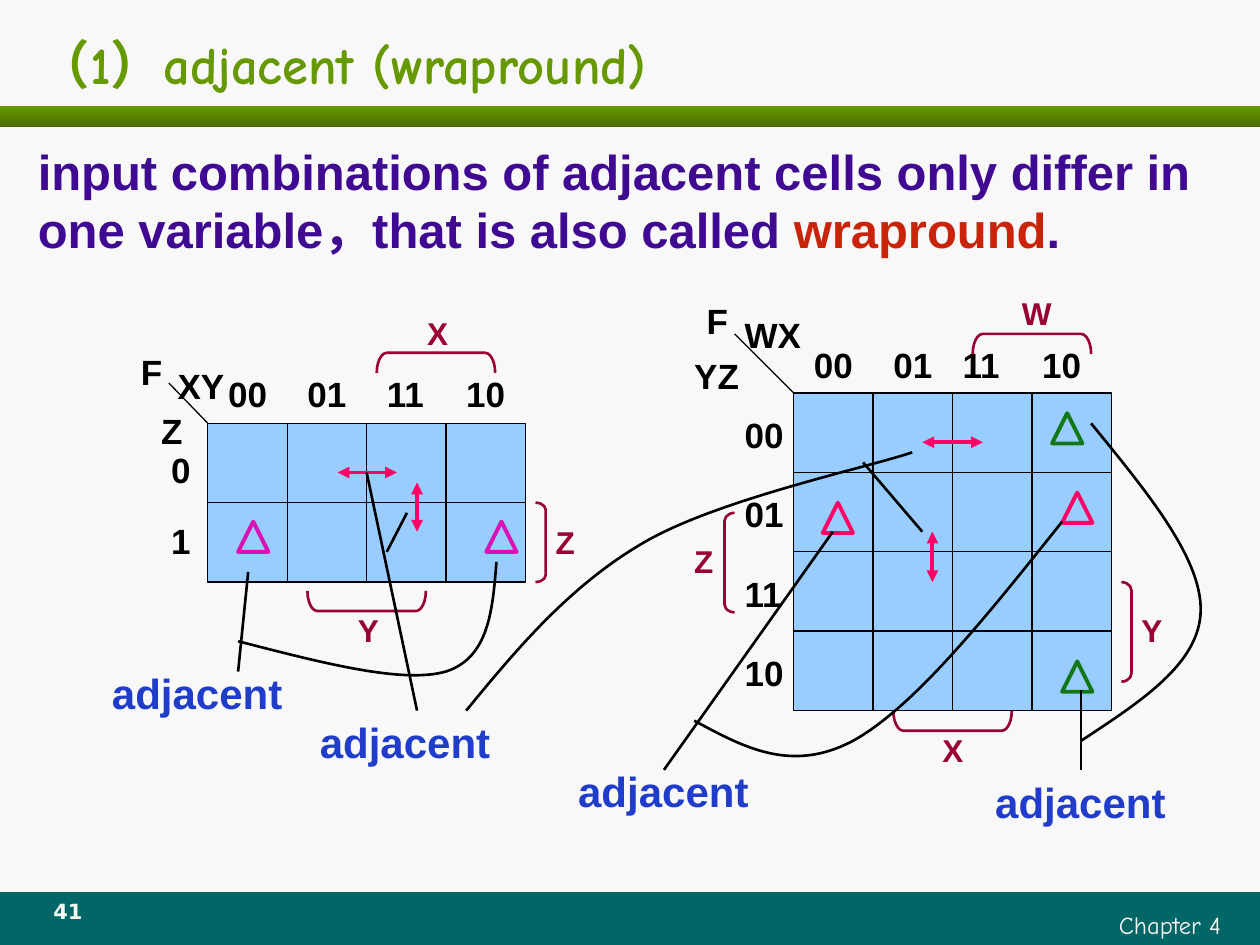
from lxml import etree
from pptx import Presentation
from pptx.dml.color import RGBColor
from pptx.enum.shapes import MSO_CONNECTOR, MSO_SHAPE
from pptx.enum.text import MSO_ANCHOR, MSO_AUTO_SIZE, PP_ALIGN
from pptx.oxml.ns import qn
from pptx.util import Inches, Pt

STRAIGHT = MSO_CONNECTOR.STRAIGHT
RECTANGLE, TRIANGLE, BRACKET = MSO_SHAPE.RECTANGLE, MSO_SHAPE.ISOSCELES_TRIANGLE, MSO_SHAPE.RIGHT_BRACKET
LEFT, CENTER, RIGHT = PP_ALIGN.LEFT, PP_ALIGN.CENTER, PP_ALIGN.RIGHT
TOP, MIDDLE = MSO_ANCHOR.TOP, MSO_ANCHOR.MIDDLE
NO_FIT = MSO_AUTO_SIZE.NONE

COLORS = {
    "paper": "F8F8F8", "footer": "006666", "green": "669900", "dark green": "496D00",
    "cell": "99CCFF", "black": "000000", "variable": "990033", "adjacent": "1F3CCB",
    "arrow": "FF0066", "purple": "DB0FB4", "leaf": "127817",
    "statement": "400991", "accent": "C92409",
}
CELL = 0.63
GRAY_CODES = ["00", "01", "11", "10"]


def color(name):
    return RGBColor.from_string(COLORS[name])


def place(shape, box):
    for name, value in zip(("left", "top", "width", "height"), box):
        setattr(shape, name, Inches(value))


def add_run(paragraph, text, size, color_name, font="Arial"):
    run = paragraph.add_run()
    run.text = text
    for name, value in {"name": font, "size": Pt(size), "bold": True}.items():
        setattr(run.font, name, value)
    run.font.color.rgb = color(color_name)
    return run


def fill_placeholder(placeholder, box, anchor, runs):
    place(placeholder, box)
    frame = placeholder.text_frame
    settings = {"word_wrap": True, "auto_size": NO_FIT, "vertical_anchor": anchor}
    for name, value in settings.items():
        setattr(frame, name, value)
    paragraph = frame.paragraphs[0]
    paragraph.alignment = LEFT
    paragraph.space_before = Pt(0)
    for run in runs:
        add_run(paragraph, *run)
    return paragraph


def add_label(slide, text, box, size=20, color_name="black", inset=False, font="Arial", align=LEFT):
    frame = slide.shapes.add_textbox(*map(Inches, box)).text_frame
    frame.word_wrap = True
    if not inset:
        for side in ("left", "top", "right", "bottom"):
            setattr(frame, f"margin_{side}", 0)
    paragraph = frame.paragraphs[0]
    paragraph.alignment = align
    return add_run(paragraph, text, size, color_name, font)


def add_box(slide, kind, box, fill=None, line=None, width=0.75):
    shape = slide.shapes.add_shape(kind, *map(Inches, box))
    shape.shadow.inherit = False
    if fill:
        shape.fill.solid()
        shape.fill.fore_color.rgb = color(fill)
    else:
        shape.fill.background()
    if line:
        shape.line.color.rgb = color(line)
        shape.line.width = Pt(width)
    else:
        shape.line.fill.background()
    return shape


def add_line(slide, start, end, color_name="black", width=1.5, arrows=False):
    line = slide.shapes.add_connector(STRAIGHT, *map(Inches, start + end))
    line.line.color.rgb = color(color_name)
    line.line.width = Pt(width)
    properties = line._element.spPr
    if arrows:
        for tag in ("a:headEnd", "a:tailEnd"):
            etree.SubElement(properties.find(qn("a:ln")), qn(tag), type="triangle")
    etree.SubElement(properties, qn("a:effectLst"))


def add_curve(slide, points):
    """Start point, then groups of two control points and an end point."""
    start, *others = [(Inches(x), Inches(y)) for x, y in points]
    builder = slide.shapes.build_freeform(*start)
    builder.add_line_segments(others, close=False)
    shape = builder.convert_to_shape()
    shape.shadow.inherit = False
    shape.fill.background()
    shape.line.color.rgb = color("black")
    shape.line.width = Pt(1.5)
    # Turn every three straight segments into one Bezier segment
    segments = list(shape._element.iter(qn("a:lnTo")))
    for first in range(0, len(segments), 3):
        group = segments[first:first + 3]
        bezier = etree.Element(qn("a:cubicBezTo"))
        group[0].addprevious(bezier)
        for segment in group:
            bezier.append(segment[0])
            segment.getparent().remove(segment)


def add_variable(slide, name, label_at, bracket_box, rotation, adjustment):
    bracket = add_box(slide, BRACKET, bracket_box, line="variable", width=1.5)
    bracket.rotation = rotation
    bracket.adjustments[0] = adjustment
    add_label(slide, name, (*label_at, 0.24, 0.3), 18, "variable")


def add_map(slide, left, top, rows, corner, column_lefts, label_top):
    for row in range(rows):
        for column in range(len(GRAY_CODES)):
            box = (left + column * CELL, top + row * CELL, CELL, CELL)
            add_box(slide, RECTANGLE, box, "cell", "black")
    add_line(slide, (left, top), corner, width=0.75)
    for code, label_left in zip(GRAY_CODES, column_lefts):
        add_label(slide, code, (label_left, label_top, 0.39, 0.33))


def add_frame(slide):
    slide.background.fill.solid()
    slide.background.fill.fore_color.rgb = color("paper")
    add_box(slide, RECTANGLE, (0, 7.08, 10, 0.42), "footer")
    band = add_box(slide, RECTANGLE, (0, 0.84, 10, 0.17))
    band.fill.gradient()
    band.fill.gradient_angle = 270
    for stop, name, position in zip(band.fill.gradient_stops, ("green", "dark green"), (0, 1)):
        stop.color.rgb = color(name)
        stop.position = position
    chapter = add_label(slide, "Chapter 4", (5.79, 7.17, 4, 0.33), 14, "paper", True, "Comic Neue", RIGHT)
    chapter.font.bold = None
    add_label(slide, "41", (0.25, 7.08, 0.58, 0.33), 12, "paper", True, "DejaVu Sans", CENTER)


def add_statement(slide):
    title, body = slide.placeholders
    fill_placeholder(title, (0.2, 0.17, 9.55, 0.67), MIDDLE,
                     [("（1）adjacent (wrapround)", 30, "green", "Comic Neue")])
    paragraph = fill_placeholder(body, (0.2, 1.07, 9.53, 1.03), TOP, [
        ("input combinations of adjacent cells only differ in one variable，that is also called ",
         28, "statement"),
        ("wrapround", 28, "accent"), (".", 28, "statement")])
    properties = paragraph._p.get_or_add_pPr()
    properties.set("marL", "0")
    properties.set("indent", "0")
    etree.SubElement(properties, qn("a:buNone"))


def add_three_variable_map(slide):
    add_map(slide, 1.65, 3.36, 2, (1.34, 3.04), [1.81 + CELL * i for i in range(4)], 2.96)
    add_label(slide, "XY", (1.41, 2.89, 0.47, 0.33))
    for text, left, top in [("F", 1.02, 2.73), ("Z", 1.18, 3.2), ("0", 1.26, 3.51), ("1", 1.26, 4.07)]:
        add_label(slide, text, (left, top, 0.39, 0.43), inset=True)
    add_variable(slide, "Z", (4.41, 4.15), (4.25, 3.99, 0.08, 0.63), 0, 0.67)
    add_variable(slide, "X", (3.39, 2.49), (3.38, 2.41, 0.16, 0.94), 270, 0.5)
    add_variable(slide, "Y", (2.84, 4.85), (2.83, 4.3, 0.16, 0.94), 90, 0.5)


def add_four_variable_map(slide):
    add_map(slide, 6.3, 3.12, 4, (5.83, 2.65), [6.46, 7.09, 7.64, 8.27], 2.73)
    add_label(slide, "F", (5.51, 2.33, 0.39, 0.43), inset=True)
    add_label(slide, "WX", (5.91, 2.49, 0.47, 0.33))
    add_label(slide, "YZ", (5.51, 2.81, 0.39, 0.33))
    for row, code in enumerate(GRAY_CODES):
        add_label(slide, code, (5.91, 3.28 + row * CELL, 0.39, 0.33))
    add_variable(slide, "W", (8.11, 2.33), (8.11, 2.26, 0.16, 0.94), 270, 0.5)
    add_variable(slide, "Y", (9.06, 4.85), (8.9, 4.62, 0.08, 0.79), 0, 0.82)
    add_variable(slide, "X", (7.48, 5.8), (7.48, 5.25, 0.16, 0.94), 90, 0.5)
    add_variable(slide, "Z", (5.51, 4.3), (5.75, 4.07, 0.08, 0.79), 180, 0.82)


def add_adjacency(slide):
    # Double arrows between neighbouring cells
    for start, end in [((2.68, 3.75), (3.15, 3.75)), ((3.31, 3.83), (3.31, 4.22)),
                       ((7.4, 4.22), (7.4, 4.62)), ((7.32, 3.51), (7.8, 3.51))]:
        add_line(slide, start, end, "arrow", 2.25, arrows=True)
    # Triangles in cells that meet around the edge
    for left, top, name in [(1.89, 4.14, "purple"), (3.86, 4.14, "purple"), (6.53, 3.99, "arrow"),
                            (8.43, 3.91, "arrow"), (8.35, 3.28, "leaf"), (8.43, 5.25, "leaf")]:
        add_box(slide, TRIANGLE, (left, top, 0.24, 0.24), "cell", name, 2.25)
    # Pointers from the words to the cells
    for start, end in [((1.97, 4.54), (1.89, 5.33)), ((6.61, 4.22), (5.27, 6.11)),
                       ((8.58, 5.48), (8.58, 6.11)), ((3.31, 5.64), (2.91, 3.75)),
                       ((6.85, 3.67), (7.32, 4.22)), ((3.07, 4.38), (3.23, 4.07))]:
        add_line(slide, start, end)
    for points in [
        [(1.89, 5.09), (2.55, 5.26), (3.2, 5.43), (3.54, 5.33), (3.88, 5.22), (3.91, 4.84), (3.94, 4.46)],
        [(5.51, 5.72), (5.9, 5.93), (6.28, 6.14), (6.77, 5.88), (7.26, 5.61), (7.84, 4.88), (8.43, 4.14)],
        [(8.58, 5.88), (9.05, 5.57), (9.52, 5.27), (9.53, 4.85), (9.54, 4.43), (9.1, 3.9), (8.66, 3.36)],
        [(3.7, 5.64), (4.11, 5.14), (4.53, 4.64), (5.12, 4.3), (5.71, 3.96), (6.89, 3.71), (7.24, 3.59)],
    ]:
        add_curve(slide, points)
    for left, top in [(0.79, 5.25), (4.49, 6.03), (7.8, 6.11), (2.44, 5.64)]:
        add_label(slide, "adjacent", (left, top, 1.65, 0.5), 24, "adjacent", inset=True)


def main():
    presentation = Presentation()
    presentation.slide_width, presentation.slide_height = Inches(10), Inches(7.5)
    slide = presentation.slides.add_slide(presentation.slide_layouts[1])
    for add_part in (add_frame, add_statement, add_three_variable_map,
                     add_four_variable_map, add_adjacency):
        add_part(slide)
    presentation.save("out.pptx")


if __name__ == "__main__":
    main()
